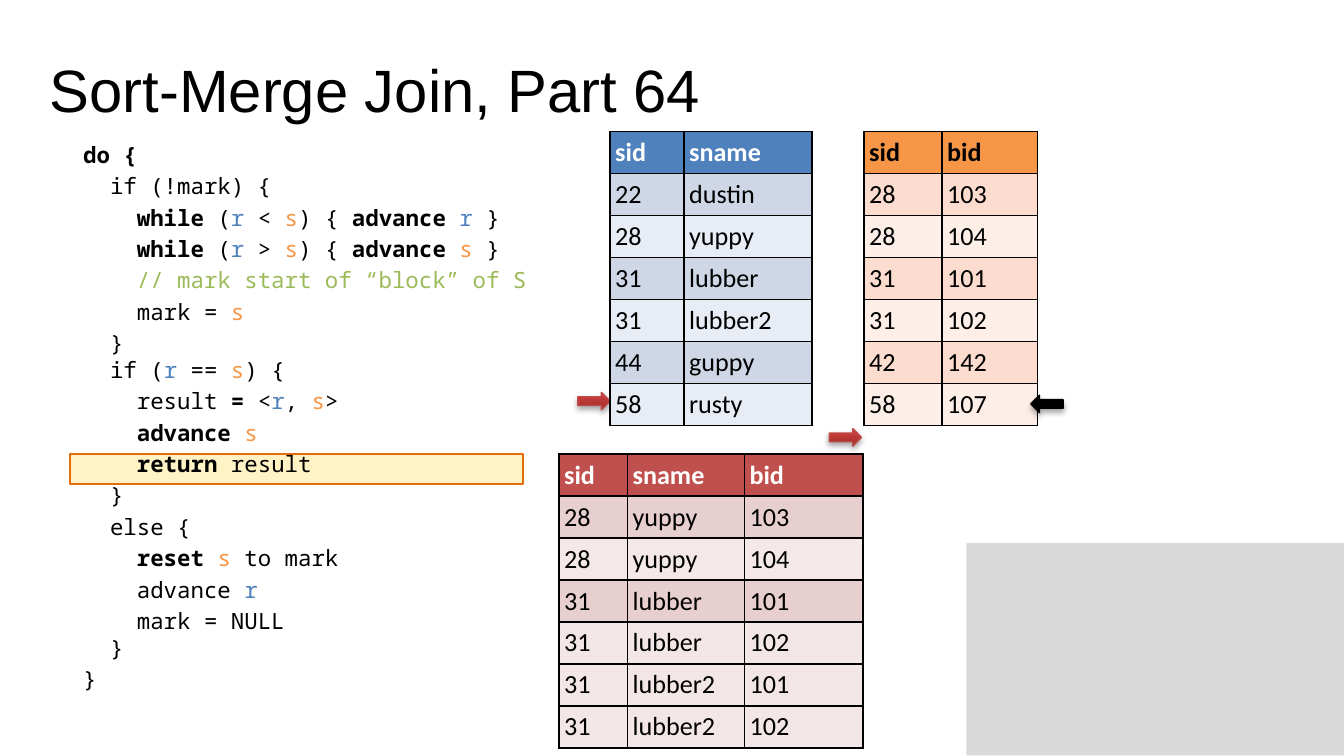
from itertools import cycle

from lxml import etree
from pptx import Presentation
from pptx import util as u
from pptx.dml.color import RGBColor
from pptx.enum import shapes, text
from pptx.oxml.ns import qn

BLACK, WHITE = "000000", "FFFFFF"
BLUE, ORANGE, GREEN, RED = "4F81BD", "F79646", "9BBB59", "C0504D"

BOLD = {"bold": True}
COMMENT = {"colour": GREEN}
R = ("r", {"colour": BLUE})
S = ("s", {"colour": ORANGE})


def bold(words):
    return words, BOLD


def advance_while(operator):
    return [bold("while"), " (", R, f" {operator} ", S, ") { ",
            bold("advance "), R if operator == "<" else S, " }"]


# Indent depth, space before in points, runs
GAP = 2.4
CODE = [
    (0, GAP, [bold("do {")]),
    (1, GAP, ["if (!mark) {"]),
    (2, GAP, advance_while("<")),
    (2, GAP, advance_while(">")),
    (2, GAP, [("// mark start of “block” of S", COMMENT)]),
    (2, GAP, ["mark = ", S]),
    (1, GAP, ["}"]),
    (1, 0, ["if (", R, " == ", S, ") {"]),
    (2, GAP, ["result", bold(" ="), " <", R, ", ", S, ">"]),
    (2, GAP, [bold("advance "), S]),
    (2, GAP, [bold("return "), "result"]),
    (1, GAP, ["}"]),
    (1, GAP, ["else {"]),
    (2, GAP, [bold("reset "), S, " to mark"]),
    (2, GAP, ["advance ", R]),
    (2, GAP, ["mark = NULL"]),
    (1, 0, ["}"]),
    (0, GAP, ["}"]),
]

SAILORS = [("sid", "sname"), (22, "dustin"), (28, "yuppy"), (31, "lubber"),
           (31, "lubber2"), (44, "guppy"), (58, "rusty")]
RESERVES = [("sid", "bid"), (28, 103), (28, 104), (31, 101), (31, 102),
            (42, 142), (58, 107)]
RESULT = [("sid", "sname", "bid"), (28, "yuppy", 103), (28, "yuppy", 104),
          (31, "lubber", 101), (31, "lubber", 102), (31, "lubber2", 101),
          (31, "lubber2", 102)]


def rgb(value):
    return RGBColor.from_string(value)


def add_text(paragraph, words, font="Calibri", size=14, colour=BLACK, bold=False):
    run = paragraph.add_run()
    run.text = str(words)
    run.font.name = font
    run.font.size = u.Pt(size)
    run.font.bold = bold
    run.font.color.rgb = rgb(colour)


def add_element(parent, tag, **attributes):
    return etree.SubElement(parent, qn(tag), attributes)


class SlideBuilder:
    title_font = "Arial"
    code_font = "Noto Sans Mono"
    row_height = u.Pt(22.5)
    cell_margin = u.Pt(2.7)
    indent = 0.2

    def __init__(self, slide):
        self.slide = slide

    def title(self, words, left, top, width, height):
        shape = self.slide.shapes.title
        shape.left, shape.top = u.Inches(left), u.Inches(top)
        shape.width, shape.height = u.Inches(width), u.Inches(height)
        frame = shape.text_frame
        frame.auto_size = text.MSO_AUTO_SIZE.NONE
        frame.vertical_anchor = text.MSO_ANCHOR.TOP
        frame.margin_top = u.Inches(0.05)
        paragraph = frame.paragraphs[0]
        paragraph.alignment = text.PP_ALIGN.LEFT
        add_text(paragraph, words, font=self.title_font, size=32)

    def shape(self, kind, left, top, width, height, fill, line=None, weight=1):
        shape = self.slide.shapes.add_shape(
            kind, u.Inches(left), u.Inches(top), u.Inches(width), u.Inches(height))
        shape.shadow.inherit = False
        shape.fill.solid()
        shape.fill.fore_color.rgb = rgb(fill)
        if line:
            shape.line.color.rgb = rgb(line)
            shape.line.width = u.Pt(weight)
        else:
            shape.line.fill.background()
        return shape

    def rectangle(self, *box, **style):
        return self.shape(shapes.MSO_SHAPE.RECTANGLE, *box, **style)

    def arrow(self, left, top, fill, line):
        arrow = self.shape(shapes.MSO_SHAPE.RIGHT_ARROW, left, top, 0.24, 0.13,
                           fill=fill, line=line, weight=0.75)
        effects = arrow._element.spPr.find(qn("a:effectLst"))
        shadow = add_element(effects, "a:outerShdw", blurRad=str(u.Pt(3)),
                             dist=str(u.Pt(1.8)), dir="5400000", rotWithShape="0")
        colour = add_element(shadow, "a:srgbClr", val=BLACK)
        add_element(colour, "a:alpha", val="35000")
        return arrow

    def red_arrow(self, left, top):
        fill = self.arrow(left, top, fill="CA3E3A", line="BE4B48").fill
        fill.gradient()
        fill.gradient_angle = 90
        stops = zip(fill.gradient_stops, (0, 0.8), ("9A2F2C", "CA3E3A"))
        for stop, position, colour in stops:
            stop.position = position
            stop.color.rgb = rgb(colour)

    def code(self, lines, left, top, width, height):
        box = self.slide.shapes.add_textbox(
            u.Inches(left), u.Inches(top), u.Inches(width), u.Inches(height))
        frame = box.text_frame
        frame.word_wrap = True
        for number, (depth, space, runs) in enumerate(lines):
            paragraph = frame.add_paragraph() if number else frame.paragraphs[0]
            paragraph.space_before = u.Pt(space)
            paragraph._p.get_or_add_pPr().set(
                "marL", str(u.Inches(depth * self.indent)))
            for run in runs:
                words, style = (run, {}) if isinstance(run, str) else run
                add_text(paragraph, words, font=self.code_font, size=12, **style)

    def border(self, cell):
        properties = cell._tc.get_or_add_tcPr()
        for position, side in enumerate(("a:lnL", "a:lnR", "a:lnT", "a:lnB")):
            line = etree.Element(qn(side), w=str(u.Pt(1)))
            fill = add_element(line, "a:solidFill")
            add_element(fill, "a:srgbClr", val=BLACK)
            properties.insert(position, line)

    def table(self, rows, left, top, widths, header, bands, header_text=WHITE):
        table = self.slide.shapes.add_table(
            len(rows), len(widths), u.Inches(left), u.Inches(top),
            u.Inches(sum(widths)), self.row_height * len(rows)).table
        for column, width in zip(table.columns, widths):
            column.width = u.Inches(width)
        fills = [header] + [band for band, _ in zip(cycle(bands), rows[1:])]
        for index, (values, fill) in enumerate(zip(rows, fills)):
            table.rows[index].height = self.row_height
            for column, value in enumerate(values):
                cell = table.cell(index, column)
                cell.margin_left = cell.margin_right = self.cell_margin
                cell.margin_top = cell.margin_bottom = self.cell_margin
                cell.fill.solid()
                cell.fill.fore_color.rgb = rgb(fill)
                self.border(cell)
                add_text(cell.text_frame.paragraphs[0], value, bold=index == 0,
                         colour=BLACK if index else header_text)


def main():
    presentation = Presentation()
    presentation.slide_width = u.Inches(10)
    presentation.slide_height = presentation.slide_width * 9 // 16
    slide = presentation.slides.add_slide(presentation.slide_layouts[5])
    builder = SlideBuilder(slide)

    builder.rectangle(7.19, 4.04, 2.81, 1.58, fill="D9D9D9")
    builder.title("Sort-Merge Join, Part 64", 0.27, 0.34, 8.23, 1.25)
    builder.rectangle(0.52, 3.38, 3.37, 0.22, fill="FFF2C5", line="E46C0A")
    builder.red_arrow(4.3, 2.92)
    builder.table(SAILORS, 4.54, 0.98, (0.55, 0.95), BLUE, ("CFD7E7", "E8ECF4"))
    builder.table(RESERVES, 6.43, 0.98, (0.58, 0.71), ORANGE,
                  ("FCDCCE", "FDEEE8"), header_text=BLACK)
    builder.red_arrow(6.17, 3.19)
    builder.code(CODE, 0.52, 1, 9.48, 2.86)
    builder.table(RESULT, 4.16, 3.38, (0.51, 0.87, 0.88), RED,
                  ("E8CFCF", "F4E8E8", "E8CFCF") + ("F3E6E6",) * 3)
    builder.arrow(7.67, 2.94, fill=BLACK, line=BLACK).rotation = 180

    presentation.save("out.pptx")


if __name__ == "__main__":
    main()
